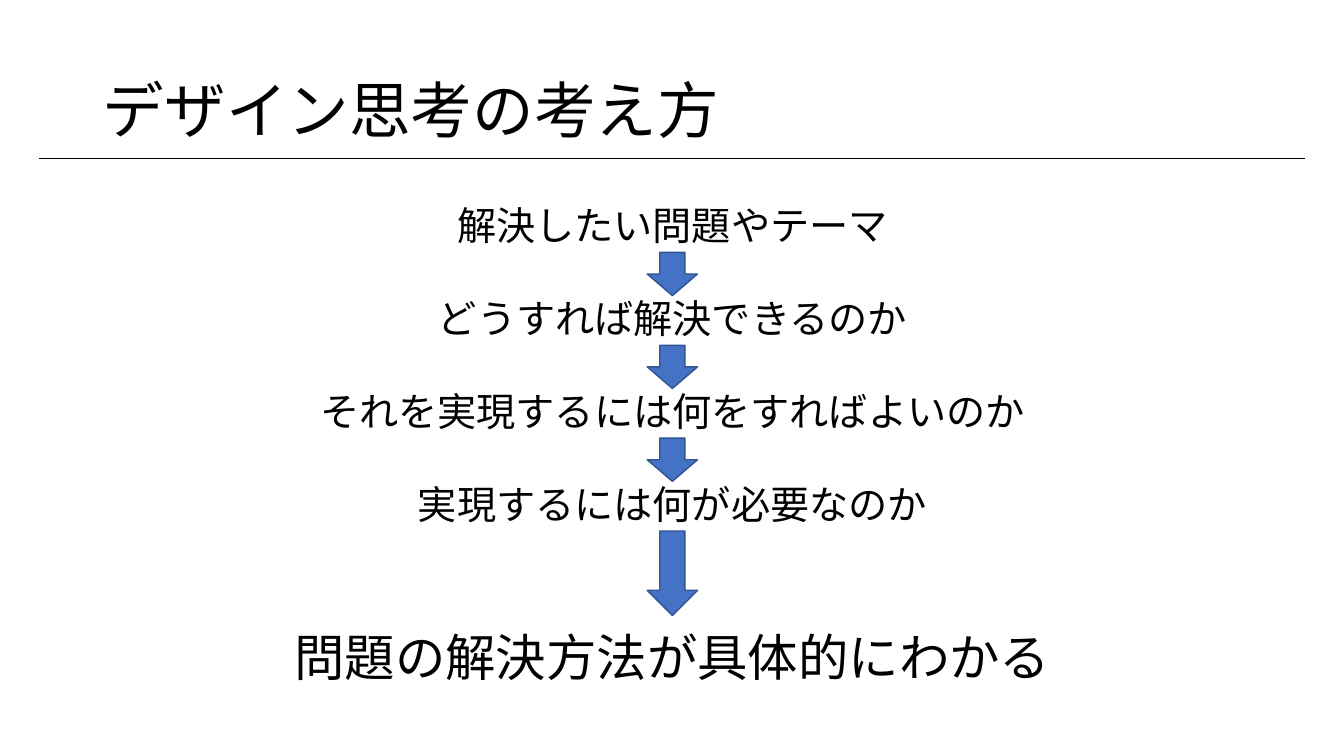
import pptx
import pptx.util
import pptx.dml.color
import pptx.enum.shapes
import pptx.enum.text
import pptx.oxml.ns
import lxml.etree

Cm = pptx.util.Cm
Pt = pptx.util.Pt
FONT = "Noto Sans CJK JP"
TITLE = "デザイン思考の考え方"
STEPS = [
    "解決したい問題やテーマ",
    "どうすれば解決できるのか",
    "それを実現するには何をすればよいのか",
    "実現するには何が必要なのか",
]
CONCLUSION = "問題の解決方法が具体的にわかる"

LEFT, WIDTH = 2.34, 29.21
STEP_TOP, STEP_PITCH, STEP_HEIGHT = 5.08, 2.34, 1.47
CONCLUSION_TOP, CONCLUSION_HEIGHT = 15.82, 1.65
ARROW_OFFSET, ARROW_WIDTH = 1.28, 1.27
ARROW_HEIGHT, LAST_ARROW_HEIGHT = 1.09, 2.13
RULE_LEFT, RULE_RIGHT, RULE_TOP = 0.99, 32.89, 3.99


def color(value):
    return pptx.dml.color.RGBColor.from_string(value)


def apply(target, formats):
    for name, value in formats.items():
        setattr(target, name, value)


def add_xml(parent, tag, **attributes):
    return lxml.etree.SubElement(parent, pptx.oxml.ns.qn(tag), attributes)


def place(box, top, height):
    apply(box, {"left": Cm(LEFT), "top": Cm(top),
                "width": Cm(WIDTH), "height": Cm(height)})


def write(box, text, size, anchor, formats):
    apply(box.text_frame, {"word_wrap": True, "vertical_anchor": anchor,
                           "auto_size": pptx.enum.text.MSO_AUTO_SIZE.NONE})
    para = box.text_frame.paragraphs[0]
    apply(para, {"line_spacing": 0.9, **formats})
    span = para.add_run()
    span.text = text
    apply(span.font, {"name": FONT, "size": Pt(size)})
    span.font.color.rgb = color("000000")
    add_xml(span.font._element, "a:ea", typeface=FONT)
    return para


def write_step(box, text, size):
    return write(box, text, size, pptx.enum.text.MSO_ANCHOR.TOP,
                 {"alignment": pptx.enum.text.PP_ALIGN.CENTER, "space_before": Pt(10)})


def add_arrow(page, top, height):
    arrow = page.shapes.add_shape(
        pptx.enum.shapes.MSO_SHAPE.DOWN_ARROW, Cm(LEFT + (WIDTH - ARROW_WIDTH) / 2),
        Cm(top), Cm(ARROW_WIDTH), Cm(height))
    arrow.shadow.inherit = False
    arrow.fill.solid()
    arrow.fill.fore_color.rgb = color("4472C4")
    arrow.line.color.rgb = color("325491")
    arrow.line.width = Pt(1)


deck = pptx.Presentation()
apply(deck, {"slide_width": Cm(33.87), "slide_height": Cm(19.05)})
page = deck.slides.add_slide(deck.slide_layouts[1])

title = page.shapes.title
place(title, 1.02, 3.68)
write(title, TITLE, 44, pptx.enum.text.MSO_ANCHOR.MIDDLE,
      {"alignment": pptx.enum.text.PP_ALIGN.LEFT})

rule = page.shapes.add_connector(
    pptx.enum.shapes.MSO_CONNECTOR.STRAIGHT,
    Cm(RULE_LEFT), Cm(RULE_TOP), Cm(RULE_RIGHT), Cm(RULE_TOP))
rule.line.color.rgb = color("000000")
rule.line.width = Pt(0.5)
add_xml(rule._element.spPr, "a:effectLst")

for index, step in enumerate(STEPS):
    top = STEP_TOP + index * STEP_PITCH
    if index == 0:
        box = page.placeholders[1]
    else:
        box = page.shapes.add_textbox(0, 0, 0, 0)
    place(box, top, STEP_HEIGHT)
    para = write_step(box, step, 28)
    if index == 0:
        properties = para._p.get_or_add_pPr()
        apply_indent = {"marL": "0", "indent": "0"}
        for name, value in apply_indent.items():
            properties.set(name, value)
        add_xml(properties, "a:buNone")
    is_last = index == len(STEPS) - 1
    add_arrow(page, top + ARROW_OFFSET, LAST_ARROW_HEIGHT if is_last else ARROW_HEIGHT)

conclusion = page.shapes.add_textbox(0, 0, 0, 0)
place(conclusion, CONCLUSION_TOP, CONCLUSION_HEIGHT)
write_step(conclusion, CONCLUSION, 36)

deck.save("out.pptx")
